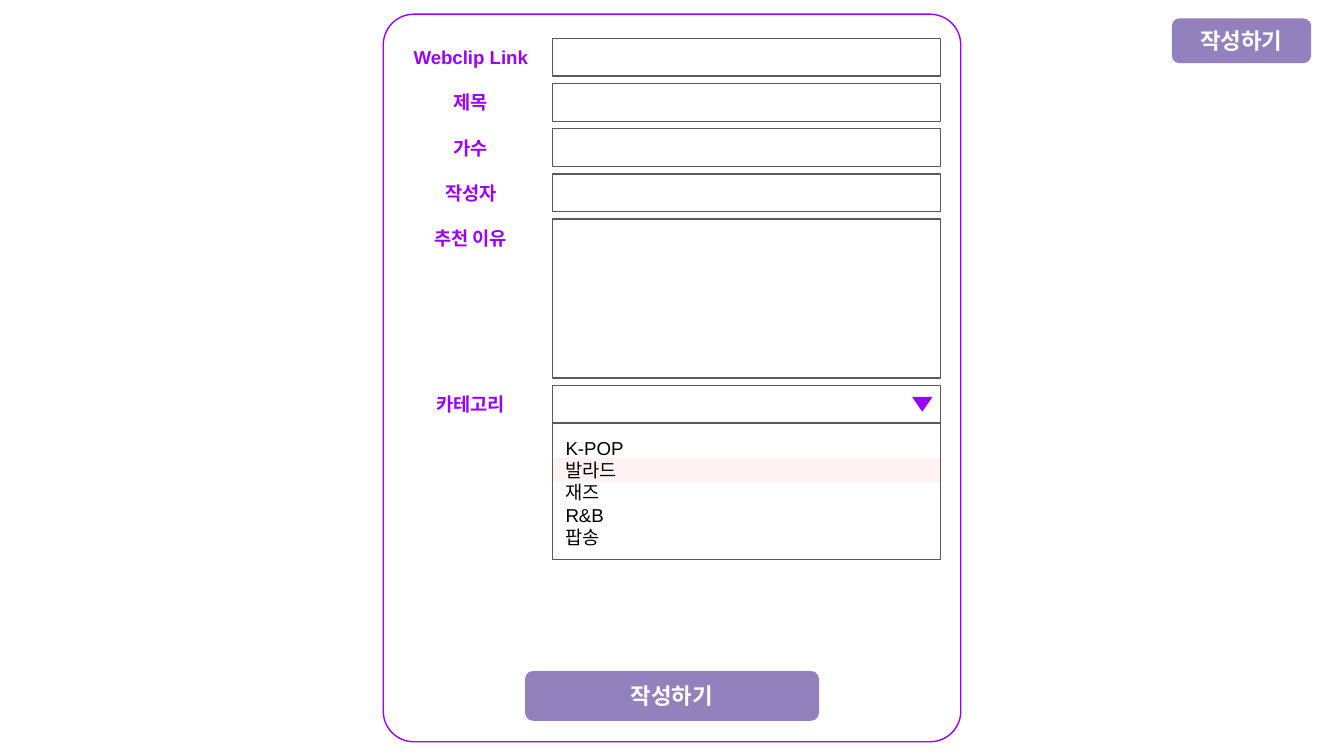
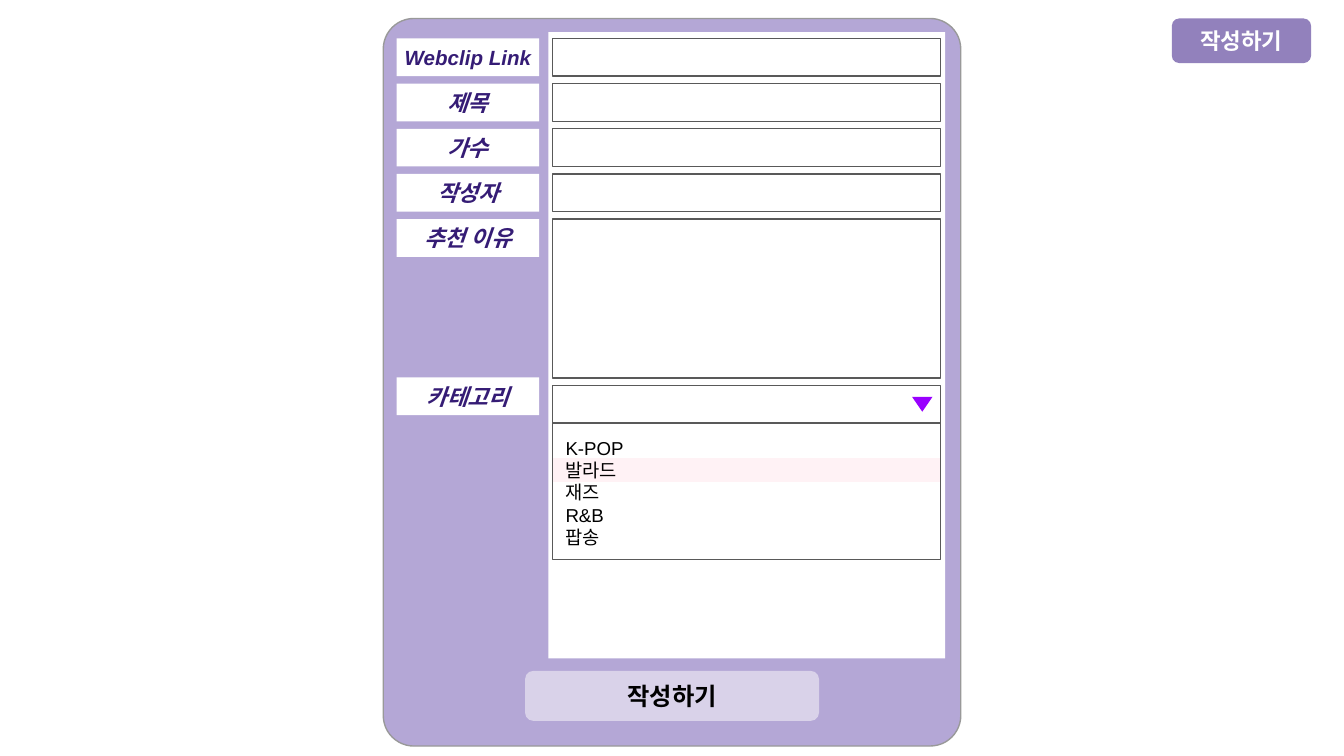
from pptx import Presentation
from pptx.dml.color import RGBColor
from pptx.enum.shapes import MSO_SHAPE as Kind
from pptx.enum.text import MSO_ANCHOR as Anchor, PP_ALIGN as Align
from pptx.util import Pt

WHITE = RGBColor(0xFF, 0xFF, 0xFF)
BLACK = RGBColor(0, 0, 0)
VIOLET = RGBColor(0x99, 0x00, 0xFF)
INDIGO = RGBColor(0x35, 0x1C, 0x75)
MAUVE = RGBColor(0x92, 0x81, 0xBC)
LILAC = RGBColor(0xB4, 0xA7, 0xD6)
PALE = RGBColor(0xD9, 0xD2, 0xE9)
PINK = RGBColor(0xFF, 0xF2, 0xF5)
DARK = RGBColor(0x59, 0x59, 0x59)
GREY = RGBColor(0x99, 0x99, 0x99)

TOP, STEP, HIGH = 20.6, 24.2, 20.2
LEFT, WIDE = 295.9, 208.1
MENU = 206.4
LABELS = ["Webclip Link", "제목", "가수", "작성자", "추천 이유", "카테고리"]
GENRES = ["K-POP", "발라드", "재즈", "R&B", "팝송"]
ROWS = [TOP + STEP * i for i in range(5)]


class Form:
    """Holds the text style and the slide being drawn."""

    font = {"name": "Arial", "size": 10, "bold": False, "italic": False}

    def __init__(self, deck):
        self.deck = deck

    def start(self):
        self.slide = self.deck.slides.add_slide(self.deck.slide_layouts[6])

    def shape(self, box, fill=None, line=None, kind=Kind.RECTANGLE, curve=None):
        item = self.slide.shapes.add_shape(kind, *map(Pt, box))
        item.shadow.inherit = False
        if curve is not None:
            item.adjustments[0] = curve
        for part, color in ((item.fill, fill), (item.line.fill, line)):
            if color is None:
                part.background()
            else:
                part.solid()
                part.fore_color.rgb = color
        if line is not None:
            item.line.width = Pt(0.75)
        return item

    def text(self, item, lines, color, align=Align.CENTER, anchor=Anchor.MIDDLE, **style):
        frame = item.text_frame
        inset = Pt(7.2)
        form = {"word_wrap": True, "vertical_anchor": anchor,
                "margin_left": inset, "margin_right": inset,
                "margin_top": inset, "margin_bottom": inset}
        for key, value in form.items():
            setattr(frame, key, value)
        frame.text = "\n".join(lines)
        look = {**self.font, **style}
        look["size"] = Pt(look["size"])
        for para in frame.paragraphs:
            para.alignment = align
            for run in para.runs:
                for key, value in look.items():
                    setattr(run.font, key, value)
                run.font.color.rgb = color

    def label(self, box, text, color, **style):
        item = self.slide.shapes.add_textbox(*map(Pt, box))
        self.text(item, [text], color, bold=True, **style)

    def button(self, box, fill, color, size):
        item = self.shape(box, fill, kind=Kind.ROUNDED_RECTANGLE, curve=0.167)
        self.text(item, ["작성하기"], color, size=size, bold=True)

    def panel(self, top, fill, line):
        self.shape((205.3, top, 309.4, 389.8), fill, line, Kind.ROUNDED_RECTANGLE, 0.053)

    def glow(self):
        """Tints the chosen genre."""
        self.shape((LEFT, 245.4, WIDE, 12.8), PINK)

    def fields(self):
        for top in ROWS[:-1] + [MENU]:
            self.shape((LEFT, top, WIDE, HIGH), line=DARK)
        self.shape((LEFT, ROWS[-1], WIDE, 85.1), line=DARK)
        menu = self.shape((LEFT, MENU + HIGH, WIDE, 73.2), line=DARK)
        self.text(menu, GENRES, BLACK, Align.LEFT, Anchor.TOP)
        self.shape((488.6, 212.6, 11, 8), VIOLET, kind=Kind.FLOWCHART_MERGE)

    def buttons(self, fill, color, size):
        self.button((627.8, 9.9, 74.6, 23.9), MAUVE, WHITE, 12)
        self.button((281.3, 359.4, 157.5, 26.8), fill, color, size)


def plain(form):
    form.start()
    form.glow()
    form.panel(7.6, None, VIOLET)
    form.fields()
    for top, text in zip(ROWS + [MENU], LABELS):
        form.label((211.9, top, 80.6, HIGH), text, VIOLET)
    form.buttons(MAUVE, WHITE, 12)


def tinted(form):
    form.start()
    form.panel(9.9, LILAC, GREY)
    form.shape((293.8, 17.3, 212.6, 335.5), WHITE)
    form.glow()
    form.fields()
    form.buttons(PALE, BLACK, 13)
    special = {LABELS[0]: {"size": 11}, LABELS[-1]: {"name": "Cabin"}}
    for top, text in zip(ROWS + [202.2], LABELS):
        form.shape((212.5, top, 76.4, HIGH), WHITE)
        wide = 96.4 if text == LABELS[0] else 80.6
        style = {"size": 12, "italic": True, **special.get(text, {})}
        form.label((250.7 - wide / 2, top, wide, HIGH), text, INDIGO, **style)


def main():
    deck = Presentation()
    deck.slide_width, deck.slide_height = Pt(720), Pt(405)
    form = Form(deck)
    plain(form)
    tinted(form)
    deck.save("out.pptx")


if __name__ == "__main__":
    main()
